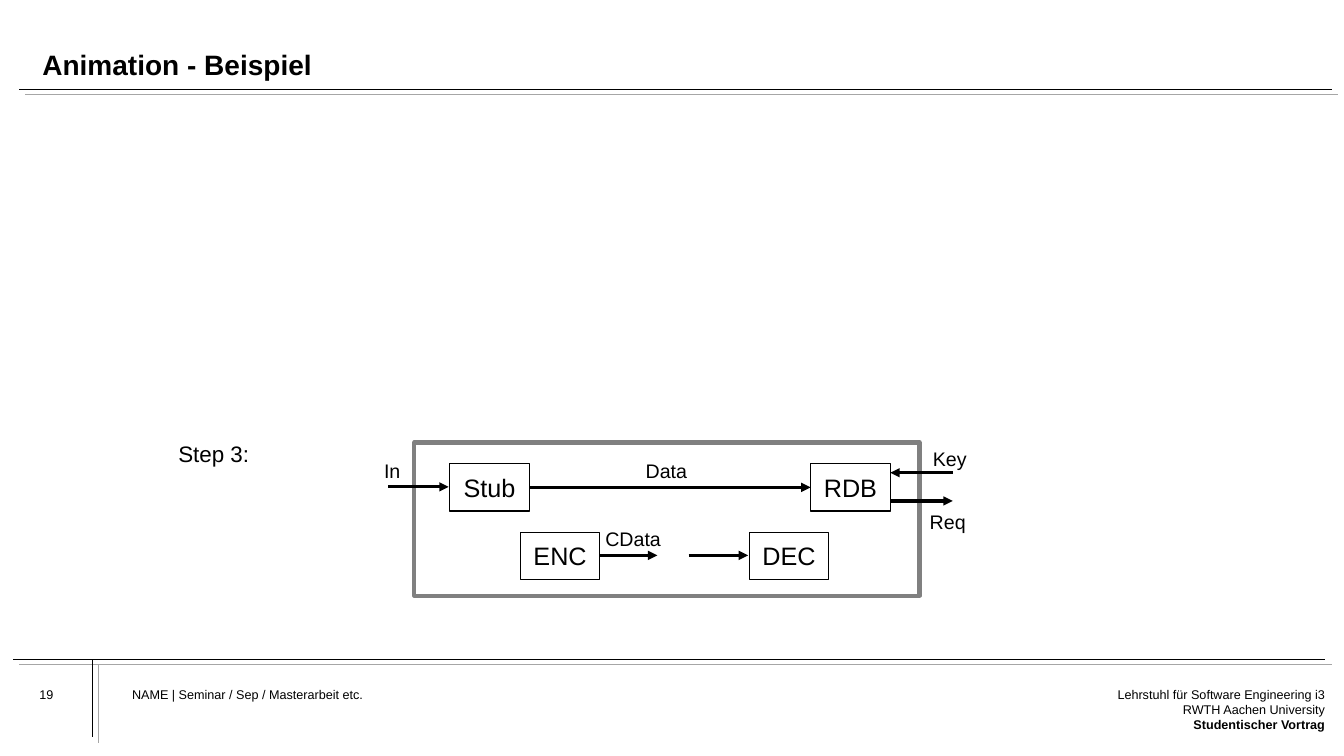
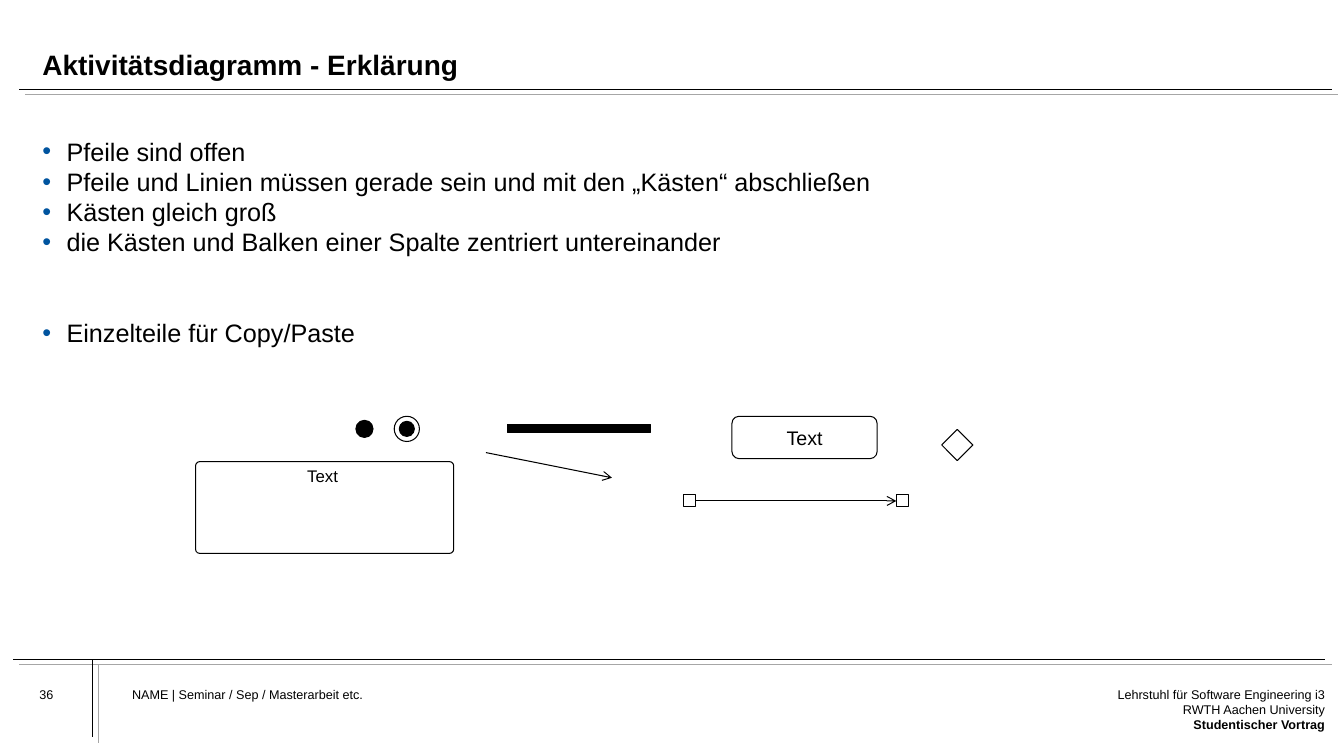
import pptx
import pptx.chart.data
import pptx.dml.color
import pptx.enum.shapes
import pptx.enum.text
import pptx.oxml
import pptx.oxml.ns
import pptx.util

Inches, Pt = pptx.util.Inches, pptx.util.Pt
Kind = pptx.enum.shapes.MSO_SHAPE
Align = pptx.enum.text.PP_ALIGN
Anchor = pptx.enum.text.MSO_ANCHOR

BLACK, WHITE, GREY, FRAME, BLUE = "000000", "FFFFFF", "A6A6A6", "808080", "00549F"
# Each rule is a black line with a grey echo: start and end of both
RULES = [
    (0.19, 0.89, 13.21, 0.89, BLACK), (0.25, 0.94, 13.27, 0.94, GREY),
    (0.13, 6.54, 13.14, 6.54, BLACK), (0.19, 6.59, 13.21, 6.59, GREY),
    (0.92, 6.54, 0.92, 7.31, BLACK), (0.98, 6.6, 0.98, 7.37, GREY),
]


def color(code):
    return pptx.dml.color.RGBColor.from_string(code)


def node(tag, **attrs):
    item = pptx.oxml.parse_xml(f"<a:{tag} {pptx.oxml.ns.nsdecls('a')}/>")
    for key, value in attrs.items():
        item.set(key, value)
    return item


class Deck:
    font = "Arial"

    def __init__(self):
        self.file = pptx.Presentation()
        self.file.slide_width = Inches(13.33)
        self.file.slide_height = Inches(7.5)
        self.slide = None

    def page(self, title, number):
        """Start a slide with its title, rules and footer."""
        self.slide = self.file.slides.add_slide(self.file.slide_layouts[6])
        for x1, y1, x2, y2, code in RULES:
            self.line(x1, y1, x2, y2, 0.5, code=code)
        head = self.text(0.42, 0.22, 12.56, 0.59, anchor=Anchor.BOTTOM)
        head.paragraphs[0].line_spacing = 0.9
        self.run(head.paragraphs[0], title, 20, bold=True)
        for left, width, words in [
            (0.39, 0.8, number),
            (1.31, 7.66, "NAME | Seminar / Sep / Masterarbeit etc."),
        ]:
            foot = self.text(left, 6.81, width, 0.43)
            self.run(foot.paragraphs[0], words, 9)
        foot = self.text(10.99, 6.81, 2.15, 0.69)
        self.run(foot.paragraphs[0], "Lehrstuhl für Software Engineering i3", 9)
        last = foot.add_paragraph()
        self.run(last, "RWTH Aachen University", 9)
        last.add_line_break()
        self.run(last, "Studentischer Vortrag", 9, bold=True)
        for para in foot.paragraphs:
            para.alignment = Align.RIGHT

    def run(self, para, words, size, bold=False):
        run = para.add_run()
        run.text = words
        run.font.name = self.font
        run.font.size = Pt(size)
        run.font.bold = bold
        run.font.color.rgb = color(BLACK)

    def inset(self, frame, wrap, anchor):
        frame.margin_left = frame.margin_right = 0
        frame.margin_top = frame.margin_bottom = 0
        frame.word_wrap = wrap
        frame.vertical_anchor = anchor
        return frame

    def text(self, left, top, width, height, wrap=True, anchor=Anchor.TOP):
        box = self.slide.shapes.add_textbox(
            Inches(left), Inches(top), Inches(width), Inches(height))
        return self.inset(box.text_frame, wrap, anchor)

    def label(self, x, y, words, size=14):
        """Put one line of text around a centre point."""
        frame = self.text(x - 0.45, y - 0.17, 0.9, 0.34, False, Anchor.MIDDLE)
        frame.paragraphs[0].alignment = Align.CENTER
        self.run(frame.paragraphs[0], words, size)

    def bullet(self, para, words, size=18):
        props = para._p.get_or_add_pPr()
        props.set("marL", str(Inches(0.24)))
        props.set("indent", str(-Inches(0.24)))
        tint = node("buClr")
        tint.append(node("srgbClr", val=BLUE))
        props.append(tint)
        props.append(node("buFont", typeface=self.font))
        props.append(node("buChar", char="•"))
        self.run(para, words, size)

    def shape(self, kind, left, top, width, height, fill=WHITE, edge=BLACK,
              weight=0.75, words="", size=18, round=None):
        shape = self.slide.shapes.add_shape(
            kind, Inches(left), Inches(top), Inches(width), Inches(height))
        shape.shadow.inherit = False
        if fill:
            shape.fill.solid()
            shape.fill.fore_color.rgb = color(fill)
        else:
            shape.fill.background()
        shape.line.color.rgb = color(edge)
        shape.line.width = Pt(weight)
        if round:
            shape.adjustments[0] = round
        if words:
            frame = self.inset(shape.text_frame, False, Anchor.MIDDLE)
            frame.paragraphs[0].alignment = Align.CENTER
            self.run(frame.paragraphs[0], words, size)
        return shape

    def line(self, x1, y1, x2, y2, weight, tip=None, code=BLACK):
        line = self.slide.shapes.add_connector(
            pptx.enum.shapes.MSO_CONNECTOR.STRAIGHT,
            Inches(x1), Inches(y1), Inches(x2), Inches(y2))
        line.line.color.rgb = color(code)
        line.line.width = Pt(weight)
        if tip:
            line.line._get_or_add_ln().append(node("tailEnd", type=tip))
        line._element.spPr.append(node("effectLst"))
        return line

    def link(self, start, end, weight, tip):
        """Join the right side of one shape to the left side of another."""
        line = self.line(0, 0, 1, 1, weight, tip)
        rect = start.auto_shape_type == Kind.RECTANGLE
        line.begin_connect(start, 3 if rect else 0)
        line.end_connect(end, 1)


def steps(deck):
    deck.page("Animation - Beispiel", "19")
    deck.label(2.12, 4.5, "Step 3:", 16)

    # Frame and its four parts
    deck.shape(Kind.RECTANGLE, 4.11, 4.39, 5.01, 1.52, None, FRAME, 3)
    part = {}
    for name, left, top in [("Stub", 4.46, 4.6), ("RDB", 8.04, 4.6),
                            ("ENC", 5.16, 5.28), ("DEC", 7.43, 5.28)]:
        part[name] = deck.shape(
            Kind.RECTANGLE, left, top, 0.79, 0.47, words=name)

    # Flows
    deck.link(part["Stub"], part["RDB"], 2.25, "triangle")
    for x1, x2, y in [(3.85, 4.45, 4.83), (8.83, 9.45, 4.97),
                      (9.45, 8.83, 4.69), (5.95, 6.52, 5.51),
                      (6.83, 7.42, 5.51)]:
        deck.line(x1, y, x2, y, 2.25, "triangle")
    for x, y, words in [(3.89, 4.67, "In"), (6.61, 4.67, "Data"),
                        (9.42, 4.55, "Key"), (9.4, 5.18, "Req"),
                        (6.28, 5.34, "CData")]:
        deck.label(x, y, words)


def activity(deck):
    deck.page("Aktivitätsdiagramm - Erklärung", "36")

    # Rules of drawing
    body = deck.text(0.42, 1.35, 12.56, 2.3)
    for index, words in enumerate([
        "Pfeile sind offen",
        "Pfeile und Linien müssen gerade sein und mit den „Kästen“ abschließen",
        "Kästen gleich groß",
        "die Kästen und Balken einer Spalte zentriert untereinander",
        "Einzelteile für Copy/Paste",
    ]):
        para = body.add_paragraph() if index else body.paragraphs[0]
        deck.bullet(para, words)
    para.space_before = Pt(43)

    # Start, end, bar and decision
    deck.shape(Kind.OVAL, 3.53, 4.17, 0.17, 0.17, BLACK)
    deck.shape(Kind.OVAL, 3.91, 4.13, 0.25, 0.25, None)
    deck.shape(Kind.OVAL, 3.96, 4.18, 0.15, 0.15, BLACK)
    deck.shape(Kind.RECTANGLE, 5.03, 4.21, 1.42, 0.08, BLACK)
    deck.shape(Kind.FLOWCHART_DECISION, 9.34, 4.26, 0.31, 0.31)

    # Action and group
    deck.shape(Kind.ROUNDED_RECTANGLE, 7.26, 4.13, 1.44, 0.42,
               words="Text", size=14, round=0.167)
    deck.shape(Kind.ROUNDED_RECTANGLE, 1.94, 4.58, 2.56, 0.91, None, round=0.044)
    deck.label(3.2, 4.72, "Text", 12)

    # Open arrows
    deck.line(4.82, 4.49, 6.07, 4.74, 0.75, "arrow")
    ends = [deck.shape(Kind.RECTANGLE, left, 4.91, 0.12, 0.12)
            for left in (6.78, 8.89)]
    deck.link(*ends, 0.75, "arrow")


def main():
    deck = Deck()
    steps(deck)
    activity(deck)
    deck.file.save("out.pptx")


if __name__ == "__main__":
    main()
